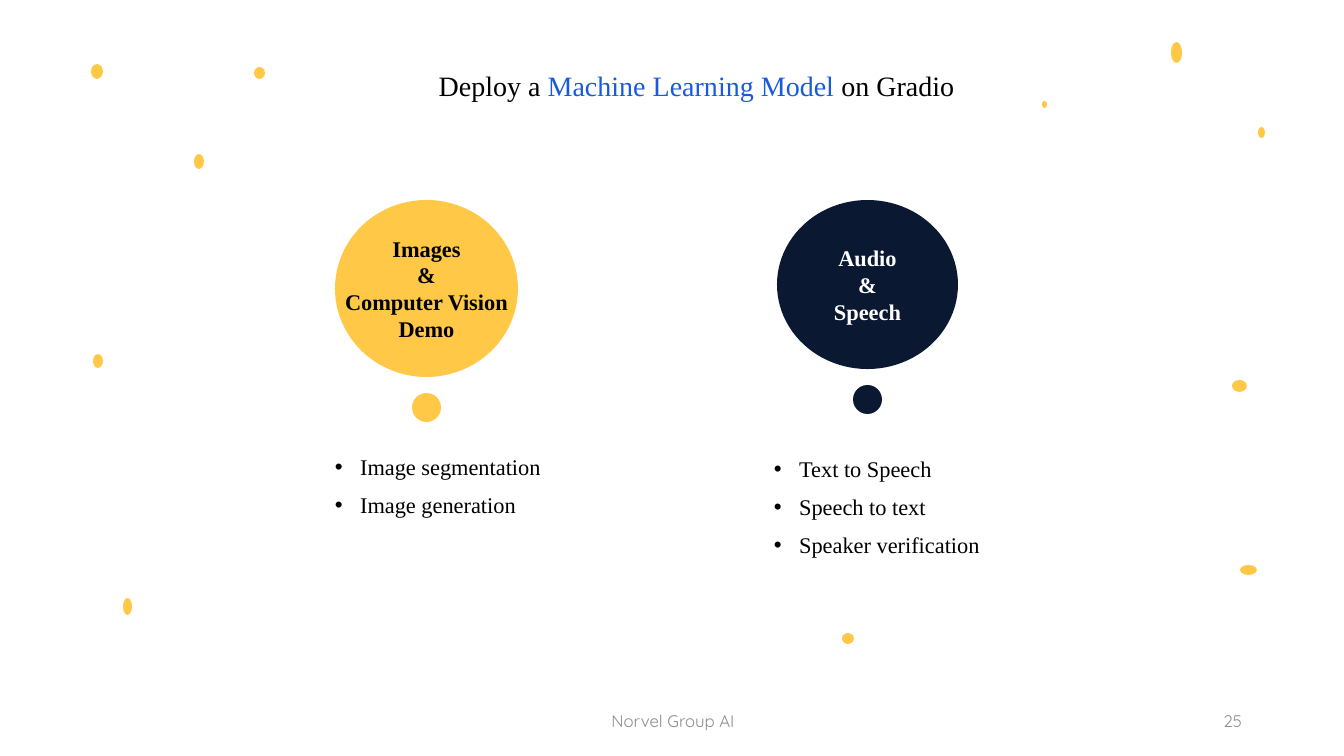
"""Build the slide on deploying a machine learning model on Gradio."""
import lxml.etree
import pptx
import pptx.dml.color
import pptx.enum.shapes
import pptx.enum.text
import pptx.oxml.ns
import pptx.util

RGBColor = pptx.dml.color.RGBColor
ALIGN = pptx.enum.text.PP_ALIGN
ANCHOR = pptx.enum.text.MSO_ANCHOR

YELLOW = RGBColor(0xFF, 0xC9, 0x47)
NAVY = RGBColor(0x0A, 0x19, 0x31)
BLUE = RGBColor(0x18, 0x5A, 0xDB)
BLACK = RGBColor(0, 0, 0)
WHITE = RGBColor(0xFF, 0xFF, 0xFF)
GREY = RGBColor(0x8C, 0x8C, 0x8C)

SERIF = "Times New Roman"
SANS = "Quicksand"

TITLE = [("Deploy a ", BLACK), ("Machine Learning Model ", BLUE), ("on Gradio", BLACK)]
TITLE_BOX = (427, 64, 539, 44)

TOPICS = [
    {
        "label": "Images\n&\nComputer Vision\vDemo",
        "circle": (335, 200, 183, 177),
        "fill": YELLOW,
        "color": BLACK,
        "items": ["Image segmentation", "Image generation"],
        "list_box": (325, 451, 560, 74),
    },
    {
        "label": "Audio\n&\nSpeech",
        "circle": (777, 200, 181, 169),
        "fill": NAVY,
        "color": WHITE,
        "items": ["Text to Speech", "Speech to text", "Speaker verification"],
        "list_box": (764, 453, 560, 112),
    },
]
DOT_SIZE = 29
DOT_GAP = 16

CONFETTI = [
    (194, 154, 10, 15), (1232, 380, 15, 12), (1171, 42, 11, 21),
    (1042, 101, 5, 7), (93, 354, 10, 14), (842, 633, 12, 11),
    (1240, 565, 17, 10), (254, 67, 11, 12), (91, 64, 12, 15),
    (123, 598, 9, 17), (1258, 127, 7, 11),
]

FOOTERS = [
    ("Norvel Group AI", (446, 701, 454, 40), ALIGN.CENTER),
    ("25", (950, 701, 302, 40), ALIGN.RIGHT),
]


def px(length):
    return pptx.util.Emu(round(length * 914400 / 100.8))


def format_run(run, font_name, size, color, bold=False):
    run.font.name = font_name
    run.font.size = pptx.util.Pt(size)
    run.font.bold = bold
    run.font.color.rgb = color


def add_oval(slide, box, color):
    shape = slide.shapes.add_shape(
        pptx.enum.shapes.MSO_SHAPE.OVAL, *map(px, box))
    shape.shadow.inherit = False
    shape.fill.solid()
    shape.fill.fore_color.rgb = color
    shape.line.fill.background()
    return shape


def add_text_box(slide, box, wrap=True):
    text_frame = slide.shapes.add_textbox(*map(px, box)).text_frame
    text_frame.word_wrap = wrap
    return text_frame


def add_bullet(paragraph):
    properties = paragraph._p.get_or_add_pPr()
    indent = pptx.util.Inches(0.25)
    properties.set("marL", str(indent))
    properties.set("indent", str(-indent))
    font = lxml.etree.SubElement(properties, pptx.oxml.ns.qn("a:buFont"))
    font.set("typeface", "Arial")
    bullet = lxml.etree.SubElement(properties, pptx.oxml.ns.qn("a:buChar"))
    bullet.set("char", "•")


def add_title(slide):
    paragraph = add_text_box(slide, TITLE_BOX, wrap=False).paragraphs[0]
    paragraph.alignment = ALIGN.CENTER
    for text, color in TITLE:
        run = paragraph.add_run()
        run.text = text
        format_run(run, SERIF, 20, color)


def add_topic(slide, topic):
    left, top, width, height = topic["circle"]
    text_frame = add_oval(slide, topic["circle"], topic["fill"]).text_frame
    text_frame.word_wrap = False
    text_frame.vertical_anchor = ANCHOR.MIDDLE
    text_frame.text = topic["label"]
    for paragraph in text_frame.paragraphs:
        paragraph.alignment = ALIGN.CENTER
        for run in paragraph.runs:
            format_run(run, SERIF, 16, topic["color"], bold=True)

    dot_left = left + (width - DOT_SIZE) / 2
    dot_top = top + height + DOT_GAP
    add_oval(slide, (dot_left, dot_top, DOT_SIZE, DOT_SIZE), topic["fill"])

    text_frame = add_text_box(slide, topic["list_box"])
    text_frame.text = "\n".join(topic["items"])
    for paragraph in text_frame.paragraphs:
        paragraph.line_spacing = 0.9
        paragraph.space_before = pptx.util.Pt(10)
        add_bullet(paragraph)
        format_run(paragraph.runs[0], SERIF, 16, BLACK)


def add_footer(slide, text, box, alignment):
    text_frame = add_text_box(slide, box)
    text_frame.vertical_anchor = ANCHOR.MIDDLE
    text_frame.text = text
    paragraph = text_frame.paragraphs[0]
    paragraph.alignment = alignment
    format_run(paragraph.runs[0], SANS, 12, GREY)


def main():
    presentation = pptx.Presentation()
    presentation.slide_width = px(1344)
    presentation.slide_height = px(756)
    slide = presentation.slides.add_slide(presentation.slide_layouts[6])
    for box in CONFETTI:
        add_oval(slide, box, YELLOW)
    add_title(slide)
    for topic in TOPICS:
        add_topic(slide, topic)
    for footer in FOOTERS:
        add_footer(slide, *footer)
    presentation.save("out.pptx")


if __name__ == "__main__":
    main()
